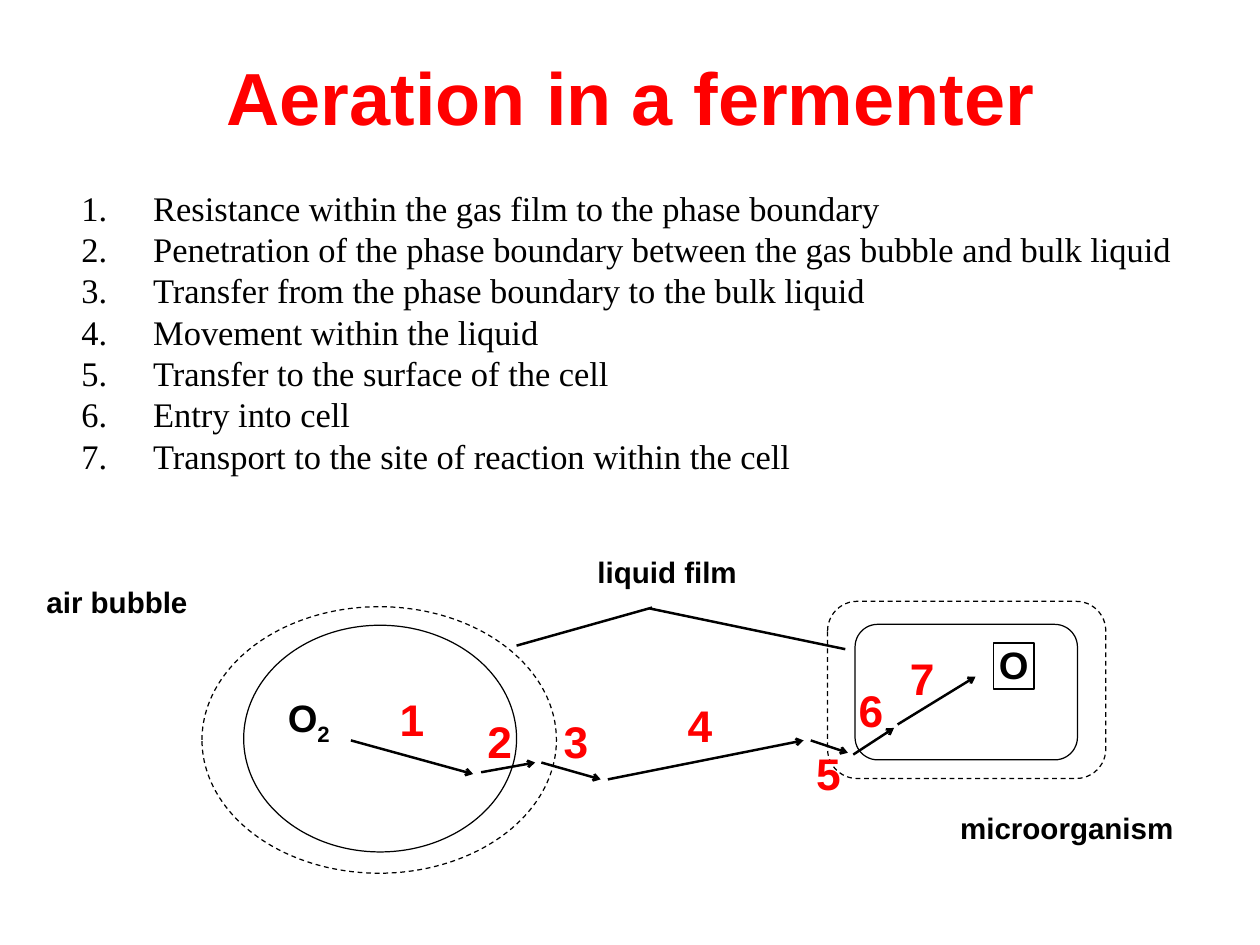
from dataclasses import dataclass

from lxml import etree
from pptx import Presentation
from pptx.dml.color import RGBColor
from pptx.enum.dml import MSO_LINE
from pptx.enum.shapes import MSO_CONNECTOR, MSO_SHAPE
from pptx.enum.text import MSO_ANCHOR, MSO_AUTO_SIZE, PP_ALIGN
from pptx.oxml.ns import qn
from pptx.util import Inches, Pt

BLACK, RED, WHITE = "000000", "FF0000", "FFFFFF"
TITLE = "Aeration in a fermenter"
STEPS = [
    "Resistance within the gas film to the phase boundary",
    "Penetration of the phase boundary between the gas bubble and bulk liquid",
    "Transfer from the phase boundary to the bulk liquid",
    "Movement within the liquid",
    "Transfer to the surface of the cell",
    "Entry into cell",
    "Transport to the site of reaction within the cell",
]


@dataclass
class Outline:
    kind: MSO_SHAPE
    box: tuple
    dashed: bool = False


@dataclass
class Label:
    text: str
    box: tuple
    size: int = 24
    color: str = BLACK
    subscript: str = ""


@dataclass
class Segment:
    start: tuple
    end: tuple
    arrow: bool = True


OUTLINES = [
    Outline(MSO_SHAPE.OVAL, (2.75, 7.06, 3.08, 2.56)),
    Outline(MSO_SHAPE.OVAL, (2.28, 6.85, 4, 3.01), True),
    Outline(MSO_SHAPE.ROUNDED_RECTANGLE, (9.65, 7.05, 2.51, 1.53)),
    Outline(MSO_SHAPE.ROUNDED_RECTANGLE, (9.34, 6.79, 3.14, 2), True),
    Outline(MSO_SHAPE.RECTANGLE, (11.21, 7.26, 0.46, 0.52)),
]
SEGMENTS = [
    Segment((3.96, 8.36), (5.34, 8.74)),
    Segment((5.43, 8.72), (6.04, 8.61)),
    Segment((6.11, 8.61), (6.78, 8.8)),
    Segment((6.86, 8.8), (9.07, 8.36)),
    Segment((9.15, 8.36), (9.57, 8.5)),
    Segment((9.63, 8.52), (10.09, 8.22)),
    Segment((10.13, 8.18), (11.01, 7.64)),
    Segment((5.83, 7.29), (7.36, 6.86), False),
    Segment((9.54, 7.33), (7.33, 6.87), False),
]
NUMBER_CORNERS = [(4.45, 7.75), (5.44, 8), (6.3, 8), (7.7, 7.82),
                  (9.15, 8.36), (9.63, 7.65), (10.21, 7.29)]
LABELS = [
    Label("O", (3.17, 7.81, 0.63, 0.65), 31, subscript="2"),
    *(Label(str(n), (*corner, 0.39, 0.72), 36, RED)
      for n, corner in enumerate(NUMBER_CORNERS, 1)),
    Label("O", (11.21, 7.17, 0.46, 0.65), 31),
    Label("liquid film", (6.68, 6.19, 1.7, 0.52)),
    Label("air bubble", (0.46, 6.53, 1.72, 0.52)),
    Label("microorganism", (10.77, 9.08, 2.54, 0.52)),
]


def rgb(color: str) -> RGBColor:
    return RGBColor.from_string(color)


def inches(values: tuple) -> list:
    return [Inches(v) for v in values]


def format_run(r, size: int, color: str, name: str = "Arial", bold: bool = True) -> None:
    r.font.name, r.font.size, r.font.bold = name, Pt(size), bold
    r.font.color.rgb = rgb(color)


def format_frame(tf, anchor: MSO_ANCHOR, wrap: bool = True) -> None:
    tf.margin_left = tf.margin_right = tf.margin_top = tf.margin_bottom = Inches(0.06)
    tf.vertical_anchor, tf.word_wrap = anchor, wrap
    tf.auto_size = MSO_AUTO_SIZE.NONE if wrap else MSO_AUTO_SIZE.SHAPE_TO_FIT_TEXT


def add_title(slide) -> None:
    sp = slide.shapes.title
    sp.left, sp.top, sp.width, sp.height = inches((0.53, 0.48, 13.17, 1.2))
    tf = sp.text_frame
    tf.text = TITLE
    format_frame(tf, MSO_ANCHOR.MIDDLE)
    p = tf.paragraphs[0]
    p.alignment, p.line_spacing = PP_ALIGN.CENTER, 1.0
    format_run(p.runs[0], 60, RED)


def add_steps(slide) -> None:
    tf = slide.shapes.add_textbox(*inches((0.86, 2.05, 12.5, 3.4))).text_frame
    tf.text = "\n".join(STEPS)
    format_frame(tf, MSO_ANCHOR.TOP)
    for p in tf.paragraphs:
        pPr = p._p.get_or_add_pPr()
        pPr.set("marL", str(Inches(0.81)))
        pPr.set("indent", str(-Inches(0.81)))
        etree.SubElement(pPr, qn("a:buAutoNum"), type="arabicPeriod")
        p.line_spacing = Pt(33.6)
        format_run(p.runs[0], 28, BLACK, "Times New Roman", False)


def add_outline(slide, outline: Outline) -> None:
    sp = slide.shapes.add_shape(outline.kind, *inches(outline.box))
    sp.shadow.inherit = False
    sp.line.color.rgb, sp.line.width = rgb(BLACK), Pt(1)
    if outline.dashed:
        sp.fill.background()
        sp.line.dash_style = MSO_LINE.DASH
    else:
        sp.fill.solid()
        sp.fill.fore_color.rgb = rgb(WHITE)


def add_segment(slide, segment: Segment) -> None:
    line = slide.shapes.add_connector(
        MSO_CONNECTOR.STRAIGHT, *inches(segment.start + segment.end))
    line.line.color.rgb, line.line.width = rgb(BLACK), Pt(2)
    if segment.arrow:
        etree.SubElement(line.line._get_or_add_ln(), qn("a:tailEnd"), type="arrow")
    etree.SubElement(line._element.spPr, qn("a:effectLst"))


def add_label(slide, label: Label) -> None:
    tf = slide.shapes.add_textbox(*inches(label.box)).text_frame
    tf.text = label.text
    format_frame(tf, MSO_ANCHOR.MIDDLE, False)
    p = tf.paragraphs[0]
    p.alignment = PP_ALIGN.CENTER
    if label.subscript:
        r = p.add_run()
        r.text = label.subscript
        r.font._element.set("baseline", "-25000")
    for r in p.runs:
        format_run(r, label.size, label.color)


def main() -> None:
    """Build the fermenter aeration slide."""
    prs = Presentation()
    prs.slide_width, prs.slide_height = inches((14.22, 10.67))
    slide = prs.slides.add_slide(prs.slide_layouts[5])
    add_title(slide)
    add_steps(slide)
    for outline in OUTLINES:
        add_outline(slide, outline)
    for segment in SEGMENTS:
        add_segment(slide, segment)
    for label in LABELS:
        add_label(slide, label)
    prs.save("out.pptx")


if __name__ == "__main__":
    main()
